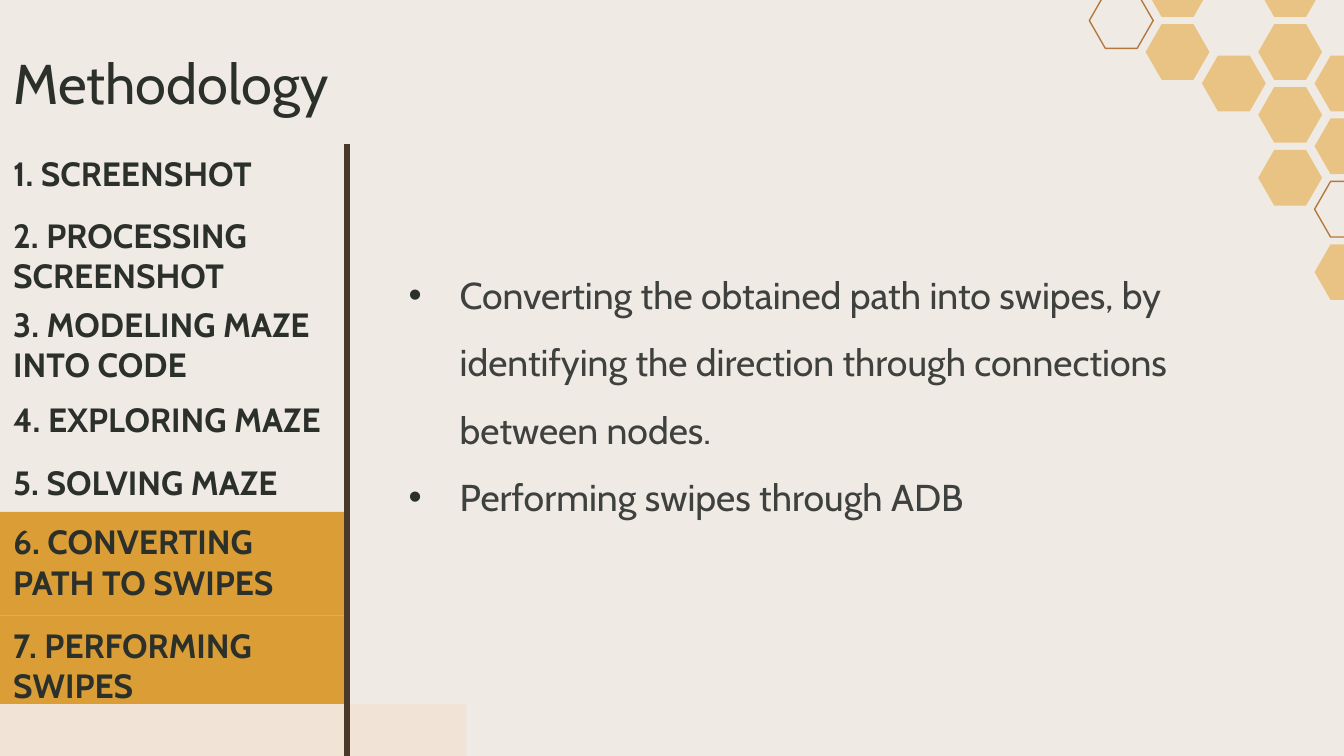
import pptx
import pptx.util
import pptx.dml.color
import pptx.enum.shapes
import pptx.enum.text
import pptx.oxml

COLORS = {
    "background": "F0EAE5",
    "ink": "2B302B",
    "body": "3E413E",
    "honey": "E9C383",
    "comb": "B3783D",
    "active": "DB9E36",
    "footer": "F1E4D7",
    "divider": "4A392B",
}
FONT = "Cabin"
SLIDE_WIDTH = pptx.util.Inches(10)
SLIDE_HEIGHT = pptx.util.Inches(5.625)
CELL = SLIDE_WIDTH / 100  # square grid: 100 columns by 56.25 rows

# Each step: text, top row below the sidebar's top, columns, rows
STEPS = [
    ("1. SCREENSHOT", 0, 25.8, 4.7),
    ("2. PROCESSING SCREENSHOT", 4.7, 25.8, 7.6),
    ("3. MODELING MAZE INTO CODE", 11.5, 25.8, 7.4),
    ("4. EXPLORING MAZE", 18.3, 27, 4.7),
    ("5. SOLVING MAZE", 23, 25.8, 4.7),
    ("6. CONVERTING PATH TO SWIPES", 27.4, 25.8, 7.7),
    ("7. PERFORMING SWIPES", 35.1, 25.8, 7.7),
]
ACTIVE_STEPS = STEPS[-2:]
BULLETS = [
    "Converting the obtained path into swipes, by identifying the direction "
    "through connections between nodes.",
    "Performing swipes through ADB",
]
# Honeycomb cells: column, half-row
FILLED_CELLS = [(1, 0), (1, 2), (2, 3), (3, 0), (3, 2), (3, 4), (3, 6),
                (4, 3), (4, 5), (4, 9)]
OUTLINED_CELLS = [(0, 1), (4, 7)]


def grid(*lengths):
    return [round(length * CELL) for length in lengths]


def rgb(name):
    return pptx.dml.color.RGBColor.from_string(COLORS[name])


def paint(shape, fill=None, line=None):
    shape.shadow.inherit = False
    if fill:
        shape.fill.solid()
        shape.fill.fore_color.rgb = rgb(fill)
    else:
        shape.fill.background()
    if line:
        shape.line.color.rgb = rgb(line)
        shape.line.width = pptx.util.Pt(0.75)
    else:
        shape.line.fill.background()


def place(shape, box):
    shape.left, shape.top, shape.width, shape.height = grid(*box)


def add_bullet(paragraph):
    properties = paragraph._p.get_or_add_pPr()
    indent = pptx.util.Inches(0.38)
    properties.set("marL", str(indent))
    properties.set("indent", str(-indent))
    namespace = 'xmlns:a="http://schemas.openxmlformats.org/drawingml/2006/main"'
    for element in (
        f'<a:buClr {namespace}><a:srgbClr val="{COLORS["ink"]}"/></a:buClr>',
        f'<a:buChar {namespace} char="•"/>',
    ):
        properties.append(pptx.oxml.parse_xml(element))


def write(shape, *texts, size, color="ink", bold=False, anchor="BOTTOM",
          spacing=1.0, bullets=False):
    frame = shape.text_frame
    frame.word_wrap = True
    frame.auto_size = pptx.enum.text.MSO_AUTO_SIZE.NONE
    frame.vertical_anchor = pptx.enum.text.MSO_ANCHOR[anchor]
    frame.margin_left = frame.margin_right = pptx.util.Inches(0.1)
    frame.margin_top = frame.margin_bottom = pptx.util.Inches(0.1)
    for index, text in enumerate(texts):
        paragraph = frame.add_paragraph() if index else frame.paragraphs[0]
        paragraph.alignment = pptx.enum.text.PP_ALIGN.LEFT
        paragraph.line_spacing = spacing
        paragraph.space_before = pptx.util.Pt(0)
        if bullets:
            add_bullet(paragraph)
        run = paragraph.add_run()
        run.text = text
        run.font.name = FONT
        run.font.size = pptx.util.Pt(size)
        run.font.bold = bold
        run.font.color.rgb = rgb(color)


def add_rectangle(slide, box, fill):
    rectangle = slide.shapes.add_shape(
        pptx.enum.shapes.MSO_SHAPE.RECTANGLE, *grid(*box))
    paint(rectangle, fill)
    return rectangle


def add_honeycomb(slide, left, top):
    comb = slide.shapes.add_group_shape()
    width, height, corner = 4.75, 4.14, 1.19
    column_pitch, half_row = 4.19, 2.34
    cells = [(cell, {"fill": "honey"}) for cell in FILLED_CELLS]
    cells += [(cell, {"line": "comb"}) for cell in OUTLINED_CELLS]
    for (column, row), style in cells:
        x, y = left + column * column_pitch, top + row * half_row
        start, *rest = [tuple(grid(x + dx, y + dy)) for dx, dy in (
            (corner, height), (0, height / 2), (corner, 0),
            (width - corner, 0), (width, height / 2), (width - corner, height))]
        outline = comb.shapes.build_freeform(*start)
        outline.add_line_segments(rest, close=True)
        paint(outline.convert_to_shape(), **style)


def add_title(slide, box):
    place(slide.shapes.title, box)
    write(slide.shapes.title, "Methodology", size=30, anchor="TOP")


def add_sidebar(slide, left, top, width, height):
    # Steps, with the current ones highlighted
    for step in STEPS:
        text, row, columns, rows = step
        box = (left, top + row, columns, rows)
        if step in ACTIVE_STEPS:
            label = add_rectangle(slide, box, "active")
        else:
            label = slide.shapes.add_textbox(*grid(*box))
        write(label, text, size=18, bold=True)
    # Footer band
    add_rectangle(slide, (left - 1.1, top + 41.7, 35.8, 7.7), "footer")
    # Divider
    right = left + width
    divider = slide.shapes.add_connector(
        pptx.enum.shapes.MSO_CONNECTOR.STRAIGHT,
        *grid(right, top, right, top + height))
    divider.line.color.rgb = rgb("divider")
    divider.line.width = pptx.util.Pt(3)
    divider._element.spPr.append(pptx.oxml.parse_xml(
        '<a:effectLst xmlns:a="http://schemas.openxmlformats.org/drawingml/2006/main"/>'))


def add_details(slide, box):
    details = slide.placeholders[1]
    place(details, box)
    write(details, *BULLETS, size=20, color="body", spacing=1.5, bullets=True)


def main():
    presentation = pptx.Presentation()
    presentation.slide_width = SLIDE_WIDTH
    presentation.slide_height = SLIDE_HEIGHT
    slide = presentation.slides.add_slide(presentation.slide_layouts[1])
    slide.background.fill.solid()
    slide.background.fill.fore_color.rgb = rgb("background")

    add_honeycomb(slide, 81.05, -2.88)
    add_title(slide, (0, 2.6, 84.3, 6.3))
    add_sidebar(slide, 0, 10.7, 25.8, 46.9)
    add_details(slide, (29.4, 18.8, 67.7, 20.8))
    presentation.save("out.pptx")


if __name__ == "__main__":
    main()
